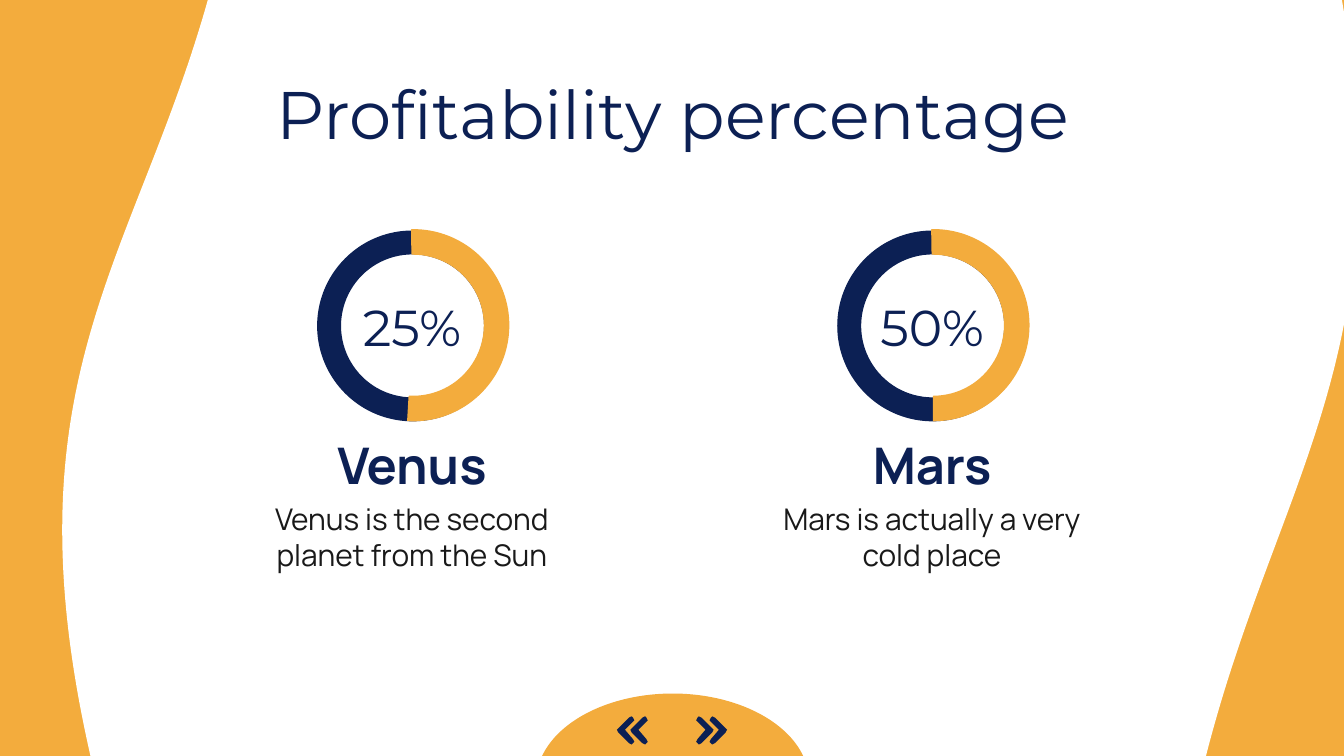
from pptx import Presentation
from pptx.dml.color import RGBColor
from pptx.enum.shapes import MSO_SHAPE
from pptx.enum.text import MSO_ANCHOR, MSO_AUTO_SIZE, PP_ALIGN
from pptx.oxml.ns import qn
from pptx.util import Inches, Pt
from lxml import etree

DOCUMENT = MSO_SHAPE.FLOWCHART_DOCUMENT
DONUT = MSO_SHAPE.DONUT
BLOCK_ARC = MSO_SHAPE.BLOCK_ARC
PIE = MSO_SHAPE.PIE
MIDDLE = MSO_ANCHOR.MIDDLE
NO_AUTOFIT = MSO_AUTO_SIZE.NONE
CENTER = PP_ALIGN.CENTER

WIDTH = 10
HEIGHT = WIDTH * 9 / 16
COMPARISON_LAYOUT = 4
NAVY, ORANGE, WHITE, INK = "0C2054", "F3AC3D", "FFFFFF", "191919"

TITLE = {"size": Pt(36), "name": "Montserrat", "bold": False}
PERCENT = {"size": Pt(27), "name": "Montserrat", "bold": False}
PLANET = {"size": Pt(27), "name": "Manrope", "bold": True}
DESCRIPTION = {"size": Pt(16), "name": "Manrope", "bold": False}

COLUMN_LEFT, COLUMN_STEP, COLUMN_WIDTH = 1.76, 3.87, 2.61
PLANETS = [
    ("Venus", "25%", "Venus is the second planet from the Sun", 52.04),
    ("Mars", "50%", "Mars is actually a very cold place", 54.03),
]
CHEVRON = [
    (0.02, 0), (0.01, 0.01), (0, 0.03), (0.01, 0.04), (0.07, 0.1),
    (0.01, 0.17), (0, 0.19), (0.01, 0.2), (0.02, 0.21), (0.04, 0.2),
    (0.12, 0.12), (0.13, 0.1), (0.12, 0.09), (0.04, 0.01),
]


def color(value):
    return RGBColor.from_string(value)


def place(shape, box):
    for name, value in zip(("left", "top", "width", "height"), box):
        setattr(shape, name, Inches(value))


def paint(shape, fill, outline=None):
    shape.shadow.inherit = False
    shape.fill.solid()
    shape.fill.fore_color.rgb = color(fill)
    if outline:
        shape.line.color.rgb = color(outline)
        shape.line.width = Pt(0.75)
    else:
        shape.line.fill.background()


def add_flipped(slide, kind, box, fill, outline=None, rotation=0, adjustments=()):
    shape = slide.shapes.add_shape(kind, *map(Inches, box))
    shape.element.spPr.xfrm.set("flipH", "1")
    shape.rotation = rotation
    for index, value in enumerate(adjustments):
        shape.adjustments[index] = value
    paint(shape, fill, outline)
    return shape


def write(shape, box, text, style, text_color):
    place(shape, box)
    frame = shape.text_frame
    frame.text = text
    frame_format = {"word_wrap": True, "auto_size": NO_AUTOFIT, "vertical_anchor": MIDDLE}
    for side in ("left", "top", "right", "bottom"):
        frame_format[f"margin_{side}"] = Inches(0.1)
    for name, value in frame_format.items():
        setattr(frame, name, value)
    paragraph = frame.paragraphs[0]
    paragraph.alignment = CENTER
    paragraph.space_before = Pt(0)
    paragraph.line_spacing = 1.0
    properties = paragraph._p.get_or_add_pPr()
    properties.set("marL", "0")
    properties.set("indent", "0")
    etree.SubElement(properties, qn("a:buNone"))
    for name, value in style.items():
        setattr(paragraph.font, name, value)
    paragraph.font.color.rgb = color(text_color)


def add_waves(slide):
    title = slide.shapes.title
    for box, rotation in (((1.45, -0.38, 9.67, 7.84), 270), ((-0.32, -2.02, 9.1, 7.73), 90)):
        wave = add_flipped(slide, DOCUMENT, box, WHITE, rotation=rotation)
        title.element.addprevious(wave.element)


def add_planet(slide, column, name, percent, description, arc_start):
    left = COLUMN_LEFT + column * COLUMN_STEP
    center = left + COLUMN_WIDTH / 2
    ring_left = center - 0.7
    add_flipped(slide, DONUT, (ring_left, 1.72, 1.41, 1.41), NAVY, NAVY, adjustments=[0.119])
    add_flipped(slide, BLOCK_ARC, (ring_left, 1.71, 1.42, 1.42), ORANGE, ORANGE,
                adjustments=[arc_start, 162.57, 0.127])
    label = slide.shapes.add_textbox(0, 0, 0, 0)
    write(label, (center - 0.71, 2.14, 1.42, 0.57), percent, PERCENT, NAVY)
    heading, body = (slide.placeholders[2 * column + offset] for offset in (1, 2))
    write(heading, (left, 3.13, COLUMN_WIDTH, 0.65), name, PLANET, NAVY)
    write(body, (left, 3.67, COLUMN_WIDTH, 0.65), description, DESCRIPTION, INK)


def add_chevron(slide, offset, direction):
    points = [(Inches(WIDTH / 2 + direction * (offset + x)), Inches(5.33 + y)) for x, y in CHEVRON]
    builder = slide.shapes.build_freeform(*points[0])
    builder.add_line_segments(points[1:], close=True)
    paint(builder.convert_to_shape(), NAVY)


def add_navigation(slide):
    add_flipped(slide, PIE, (3.99, 5.16, 2.03, 1.31), ORANGE, rotation=180, adjustments=[0, 108.31])
    for direction in (1, -1):
        for offset in (0.18, 0.28):
            add_chevron(slide, offset, direction)


def main():
    presentation = Presentation()
    presentation.slide_width = Inches(WIDTH)
    presentation.slide_height = Inches(HEIGHT)
    slide = presentation.slides.add_slide(presentation.slide_layouts[COMPARISON_LAYOUT])
    slide.background.fill.solid()
    slide.background.fill.fore_color.rgb = color(ORANGE)
    add_waves(slide)
    write(slide.shapes.title, (0.8, 0.58, 8.41, 0.51), "Profitability percentage", TITLE, NAVY)
    for column, planet in enumerate(PLANETS):
        add_planet(slide, column, *planet)
    add_navigation(slide)
    presentation.save("out.pptx")


if __name__ == "__main__":
    main()
